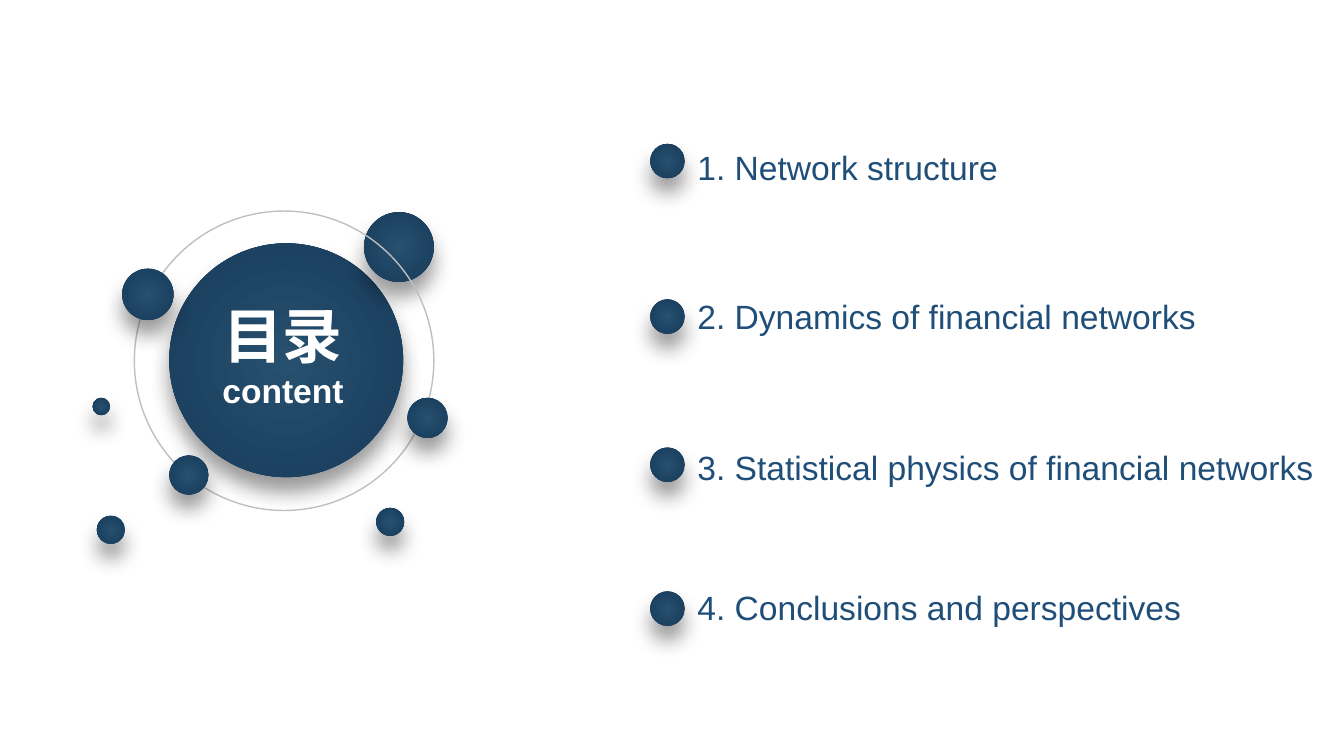
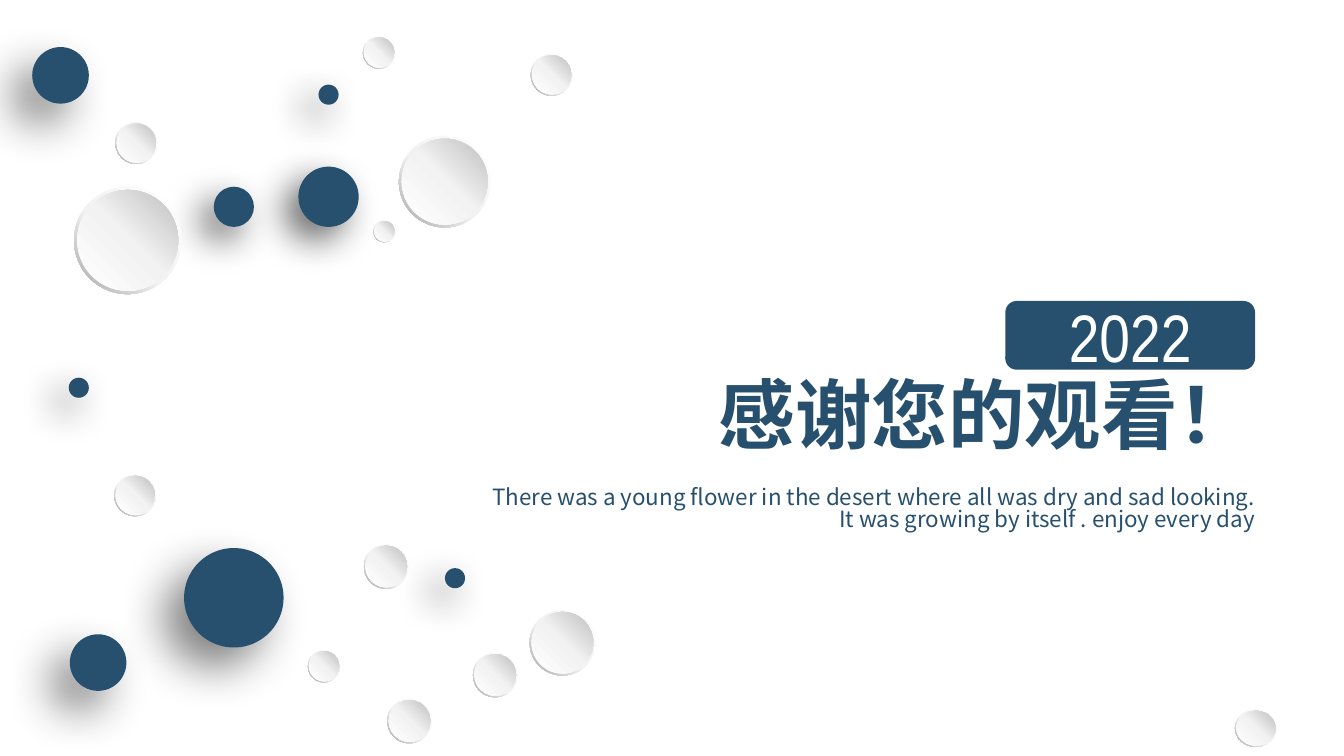
from typing import NamedTuple, Optional

from pptx import Presentation
from pptx.dml.color import RGBColor
from pptx.enum.shapes import MSO_SHAPE
from pptx.enum.text import MSO_ANCHOR, PP_ALIGN
from pptx.oxml import parse_xml
from pptx.oxml.ns import nsdecls, qn
from pptx.util import Cm, Pt

NAVY, DEEP, BLUE = "27506E", "173A5B", "1F4E79"
WHITE, GREY = "FFFFFF", "BFBFBF"
SANS, NARROW, CJK = "Arial", "Arial Narrow", "Noto Sans CJK SC"
TIGHT = 0.83  # brings the tall CJK line down to 1.2 em


class Box(NamedTuple):
    x: float
    y: float
    w: float
    h: Optional[float] = None  # same as w when left out


class Shade(NamedTuple):
    alpha: int
    blur: int
    dist: int
    angle: int


class Blend(NamedTuple):
    stops: tuple
    angle: Optional[int] = None  # radial when left out


class Item(NamedTuple):
    text: str
    dot: float
    top: float
    width: float


ORB = Blend(((0, NAVY), (100, DEEP)))
RIM = Blend(((0, WHITE), (55, "F2F2F2"), (100, "A6A6A6")), 135)
FACE = Blend(((0, WHITE), (51, "F2F2F2"), (100, GREY)), 315)
DROP = Shade(40, 11, 8, 90)
NEAR = Shade(60, 20, 10, 135)
FAR = Shade(50, 25, 15, 135)

ITEMS = (
    Item("1. Network structure", 2.72, 2.64, 6.25),
    Item("2. Dynamics of financial networks", 5.66, 5.46, 10.39),
    Item("3. Statistical physics of financial networks", 8.46, 8.31, 12.47),
    Item("4. Conclusions and perspectives", 11.18, 10.97, 10.08),
)
MOONS = (
    Box(2.31, 5.08, 0.97), Box(1.83, 9.75, 0.53), Box(3.2, 8.61, 0.74),
    Box(7.7, 7.52, 0.76), Box(7.11, 9.6, 0.53), Box(1.75, 7.52, 0.33),
)
DOTS = (
    (Box(3.48, 10.36, 1.88), FAR), (Box(4.04, 3.53, 0.76), NEAR),
    (Box(5.64, 3.15, 1.14), NEAR), (Box(8.41, 10.74, 0.38), NEAR),
    (Box(1.32, 11.99, 1.07), FAR), (Box(6.02, 1.6, 0.38), NEAR),
    (Box(1.3, 7.14, 0.38), NEAR), (Box(0.61, 0.89, 1.07), FAR),
)
STONES = (
    Box(8.94, 12.34, 0.84), Box(7.54, 2.57, 1.73), Box(5.82, 12.29, 0.61),
    Box(2.16, 8.97, 0.79), Box(10.01, 11.53, 1.24), Box(6.88, 10.29, 0.84),
    Box(6.86, 0.69, 0.61), Box(2.18, 2.31, 0.79), Box(1.4, 3.53, 2.03),
    Box(10.03, 1.02, 0.79), Box(7.32, 13.21, 0.84),
    Box(23.34, 13.41, 0.79, 0.71), Box(7.06, 4.17, 0.41),
)


def rgb(code: str) -> RGBColor:
    return RGBColor.from_string(code)


def place(box: Box) -> tuple:
    tall = box.w if box.h is None else box.h
    return Cm(box.x), Cm(box.y), Cm(box.w), Cm(tall)


def blend(shape, look: Blend) -> None:
    """Fill a shape with a linear or radial gradient."""
    stops = "".join(
        f'<a:gs pos="{pos * 1000}"><a:srgbClr val="{code}"/></a:gs>'
        for pos, code in look.stops
    )
    if look.angle is None:
        way = ('<a:path path="circle"><a:fillToRect l="50000" t="50000" '
               'r="50000" b="50000"/></a:path>')
    else:
        way = f'<a:lin ang="{look.angle * 60000}" scaled="0"/>'
    shape.fill.background()
    props = shape._element.spPr
    props.replace(props.find(qn("a:noFill")), parse_xml(
        f'<a:gradFill {nsdecls("a")} rotWithShape="1">'
        f'<a:gsLst>{stops}</a:gsLst>{way}</a:gradFill>'))


def cast(shape, shade: Shade) -> None:
    """Give a shape an outer shadow."""
    effects = shape._element.spPr.find(qn("a:effectLst"))
    effects.append(parse_xml(
        f'<a:outerShdw {nsdecls("a")} blurRad="{Pt(shade.blur)}" '
        f'dist="{Pt(shade.dist)}" dir="{shade.angle * 60000}" algn="ctr" '
        f'rotWithShape="0"><a:srgbClr val="000000">'
        f'<a:alpha val="{shade.alpha * 1000}"/></a:srgbClr></a:outerShdw>'))


def draw(slide, box: Box, fill=None, shade: Optional[Shade] = None,
         kind=MSO_SHAPE.OVAL, line: Optional[str] = None):
    """Draw a preset shape with a plain colour, a gradient or no fill."""
    shape = slide.shapes.add_shape(kind, *place(box))
    shape.shadow.inherit = False
    if line:
        shape.line.color.rgb = rgb(line)
        shape.line.width = Pt(0.75)
    else:
        shape.line.fill.background()
    if isinstance(fill, Blend):
        blend(shape, fill)
    elif fill:
        shape.fill.solid()
        shape.fill.fore_color.rgb = rgb(fill)
    else:
        shape.fill.background()
    if shade:
        cast(shape, shade)
    return shape


def write(shape, text: str, *, sizes: tuple, font: str, color: str,
          bold: bool = False, align=PP_ALIGN.LEFT, wrap: bool = True,
          pad: tuple = (0.25, 0.13), anchor=MSO_ANCHOR.TOP,
          space: Optional[float] = None) -> None:
    """Write one paragraph per line of text, each with its own size."""
    frame = shape.text_frame
    frame.word_wrap = wrap
    frame.vertical_anchor = anchor
    frame.margin_left = frame.margin_right = Cm(pad[0])
    frame.margin_top = frame.margin_bottom = Cm(pad[1])
    for i, (words, size) in enumerate(zip(text.split("\n"), sizes)):
        para = frame.paragraphs[0] if i == 0 else frame.add_paragraph()
        para.alignment = align
        if space:
            para.line_spacing = space
        run = para.add_run()
        run.text = words
        run.font.name = font
        run.font.size = Pt(size)
        run.font.bold = bold
        run.font.color.rgb = rgb(color)
        run.font._element.find(qn("a:latin")).addnext(
            parse_xml(f'<a:ea {nsdecls("a")} typeface="{font}"/>'))


def label(slide, box: Box, text: str, **style) -> None:
    write(slide.shapes.add_textbox(*place(box)), text, **style)


def stone(slide, box: Box) -> None:
    """Draw a pale disc inside a thin rim."""
    rim = draw(slide, box, RIM, kind=MSO_SHAPE.DONUT)
    rim.adjustments[0] = 0.049
    tall = box.w if box.h is None else box.h
    gap = 0.03 * box.w
    draw(slide, Box(box.x + gap, box.y + gap, box.w - 2 * gap, tall - 2 * gap),
         FACE)


def agenda(slide) -> None:
    # Numbered topics
    for item in ITEMS:
        draw(slide, Box(12.29, item.dot, 0.65), ORB, DROP)
        label(slide, Box(12.93, item.top, item.width, 1.02), item.text,
              sizes=(18,), font=SANS, color=BLUE, wrap=False)
    # Title disc with its ring and moons
    draw(slide, Box(3.2, 4.6, 4.42), ORB, DROP)
    label(slide, Box(3.94, 5.51, 2.82, 2.39), "目录\ncontent", sizes=(32, 18),
          font=SANS, color=WHITE, bold=True, align=PP_ALIGN.CENTER, wrap=False)
    draw(slide, Box(6.88, 4.01, 1.32), ORB, DROP)
    draw(slide, Box(2.54, 3.99, 5.66), line=GREY)
    for moon in MOONS:
        draw(slide, moon, ORB, DROP)


def thanks(slide) -> None:
    # Scattered discs
    for box, shade in DOTS:
        draw(slide, box, NAVY, shade)
    for box in STONES:
        stone(slide, box)
    # Closing words
    right = dict(font=CJK, color=NAVY, align=PP_ALIGN.RIGHT, pad=(0, 0),
                 space=TIGHT)
    label(slide, Box(7.06, 7.24, 16.66, 1.75), "感谢您的观看！",
          sizes=(41,), bold=True, **right)
    badge = draw(slide, Box(19, 5.69, 4.72, 1.3), NAVY,
                 kind=MSO_SHAPE.ROUNDED_RECTANGLE)
    write(badge, "2022", sizes=(36,), font=NARROW, color=WHITE,
          align=PP_ALIGN.CENTER, pad=(0.18, 0.1), anchor=MSO_ANCHOR.MIDDLE)
    label(slide, Box(8.79, 9.22, 14.94, 1.02),
          "There was a young flower in the desert where all was dry and sad "
          "looking.\nIt was growing by itself . enjoy every day",
          sizes=(12, 12), **right)


def main() -> None:
    deck = Presentation()
    deck.slide_width, deck.slide_height = Cm(25.4), Cm(14.29)
    for build in (agenda, thanks):
        build(deck.slides.add_slide(deck.slide_layouts[6]))
    deck.save("out.pptx")


if __name__ == "__main__":
    main()
